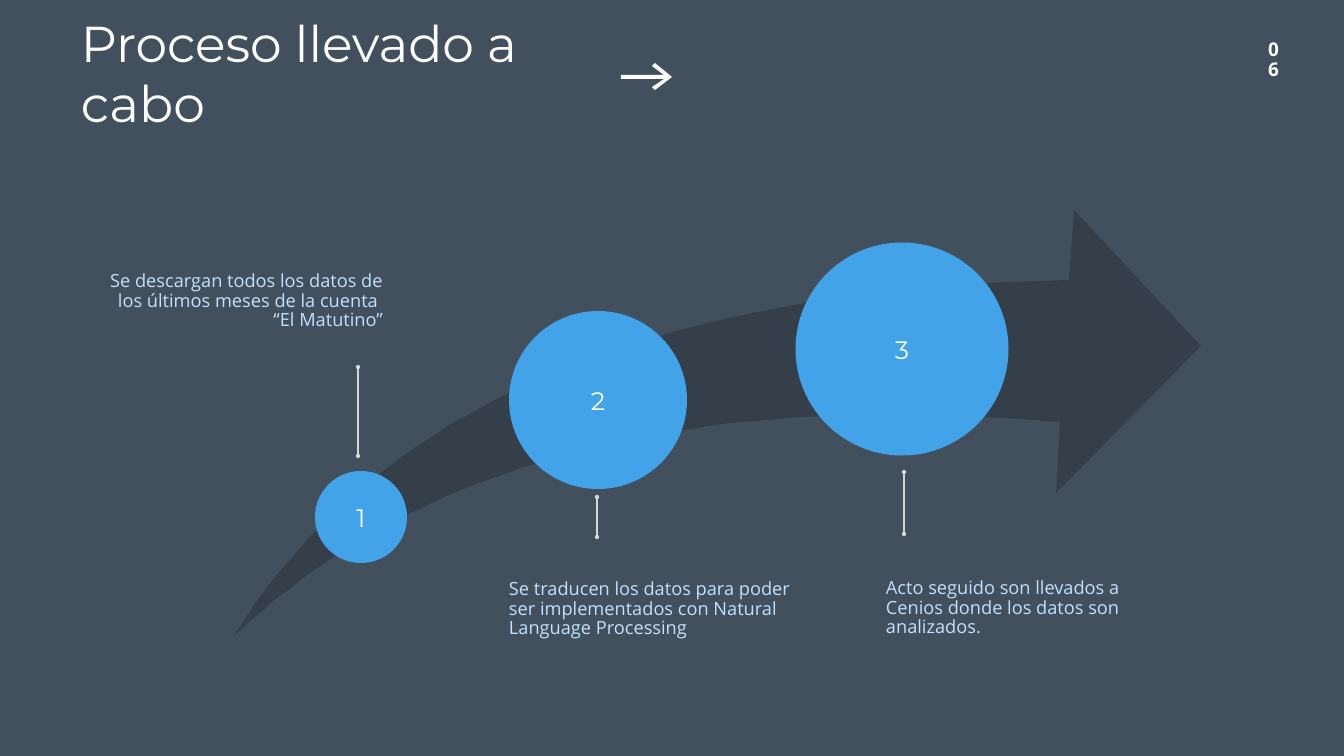
from lxml.etree import SubElement
from pptx import Presentation
from pptx.dml.color import RGBColor
from pptx.enum.shapes import MSO_CONNECTOR, MSO_SHAPE
from pptx.enum.text import MSO_ANCHOR, PP_ALIGN
from pptx.oxml.ns import qn
from pptx.util import Emu, Pt

PX = 18143
COLORS = {
    "background": "42505D",
    "arrow": "343F4A",
    "circle": "42A3E8",
    "white": "FFFFFF",
    "body": "C1E1FE",
    "marker": "D6D6D6",
}
CIRCLES = [("1", 361, 517, 92), ("2", 598, 400, 178), ("3", 902, 349, 213)]
MARKERS = [(358, 367, 456), (597, 497, 537), (904, 472, 534)]
DESCRIPTIONS = [
    (97, 272, "Se descargan todos los datos de los últimos meses de la cuenta \n“El Matutino”", PP_ALIGN.RIGHT),
    (509, 580, "Se traducen los datos para poder ser implementados con Natural Language Processing", PP_ALIGN.LEFT),
    (886, 579, "Acto seguido son llevados a Cenios donde los datos son analizados.", PP_ALIGN.LEFT),
]
UPPER_EDGE = [(234, 636), (376, 406), (655, 288), (1069, 280)]
ARROW_HEAD = [(1074, 210), (1201, 346), (1056, 493)]
LOWER_EDGE = [(1060, 422), (693, 390), (418, 461), (234, 636)]
SMALL_ARROW = [(621, 75), (664, 75), (652, 66), (655, 63), (672, 77),
               (655, 90), (652, 87), (664, 79), (621, 79)]


def px(*values):
    return [Emu(value * PX) for value in values]


def color(name):
    return RGBColor.from_string(COLORS[name])


def paint(shape, name):
    shape.shadow.inherit = False
    shape.fill.solid()
    shape.fill.fore_color.rgb = color(name)
    shape.line.fill.background()


def write(shape, text, size, font, name="white", align=PP_ALIGN.LEFT,
          anchor=MSO_ANCHOR.MIDDLE, margin=3, spacing=None, bold=False):
    frame = shape.text_frame
    frame.text = text
    frame.word_wrap = True
    frame.vertical_anchor = anchor
    frame.margin_left, frame.margin_top, frame.margin_right, frame.margin_bottom = px(*[margin] * 4)
    for paragraph in frame.paragraphs:
        paragraph.alignment = align
        paragraph.line_spacing = spacing
        for span in paragraph.runs:
            span.font.size = Pt(size)
            span.font.name = font
            span.font.bold = bold
            span.font.color.rgb = color(name)


def add_text(page, area, text, size, font, **style):
    box = page.shapes.add_textbox(*px(*area))
    write(box, text, size, font, **style)


def curve(controls, steps=40):
    """Return points along a cubic Bezier curve."""
    points = []
    for step in range(steps + 1):
        t = step / steps
        weights = [(1 - t) ** 3, 3 * t * (1 - t) ** 2, 3 * t ** 2 * (1 - t), t ** 3]
        points.append(tuple(sum(w * p[axis] for w, p in zip(weights, controls)) for axis in (0, 1)))
    return points


def add_outline(page, points, name):
    builder = page.shapes.build_freeform(*points[0], scale=PX)
    builder.add_line_segments(points[1:], close=True)
    paint(builder.convert_to_shape(), name)


def add_circle(page, label, center_x, center_y, diameter):
    radius = diameter / 2
    area = [int(value * PX) for value in (center_x - radius, center_y - radius, diameter, diameter)]
    circle = page.shapes.add_shape(MSO_SHAPE.OVAL, *area)
    paint(circle, "circle")
    write(circle, label, 36, "Montserrat", align=PP_ALIGN.CENTER)


def add_marker(page, x, top, bottom):
    marker = page.shapes.add_connector(MSO_CONNECTOR.STRAIGHT, *px(x, top, x, bottom))
    marker.line.color.rgb = color("marker")
    marker.line.width = Pt(2)
    line = marker.line._get_or_add_ln()
    for end in ("a:headEnd", "a:tailEnd"):
        SubElement(line, qn(end), type="oval")
    SubElement(marker._element.spPr, qn("a:effectLst"))


def main():
    deck = Presentation()
    deck.slide_width, deck.slide_height = px(1344, 756)
    page = deck.slides.add_slide(deck.slide_layouts[6])
    page.background.fill.solid()
    page.background.fill.fore_color.rgb = color("background")

    add_text(page, (78, 39, 534, 67), "Proceso llevado a cabo", 72, "Montserrat")
    add_text(page, (1260, 46, 27, 29), "06", 27, "Open Sans",
             align=PP_ALIGN.CENTER, spacing=0.9, bold=True)
    add_outline(page, SMALL_ARROW, "white")
    add_outline(page, curve(UPPER_EDGE) + ARROW_HEAD + curve(LOWER_EDGE), "arrow")
    for circle in CIRCLES:
        add_circle(page, *circle)
    for marker in MARKERS:
        add_marker(page, *marker)
    for left, top, text, align in DESCRIPTIONS:
        add_text(page, (left, top, 286, 66), text, 26, "Open Sans", name="body",
                 align=align, anchor=MSO_ANCHOR.TOP, margin=0, spacing=0.9)
    deck.save("out.pptx")


if __name__ == "__main__":
    main()
